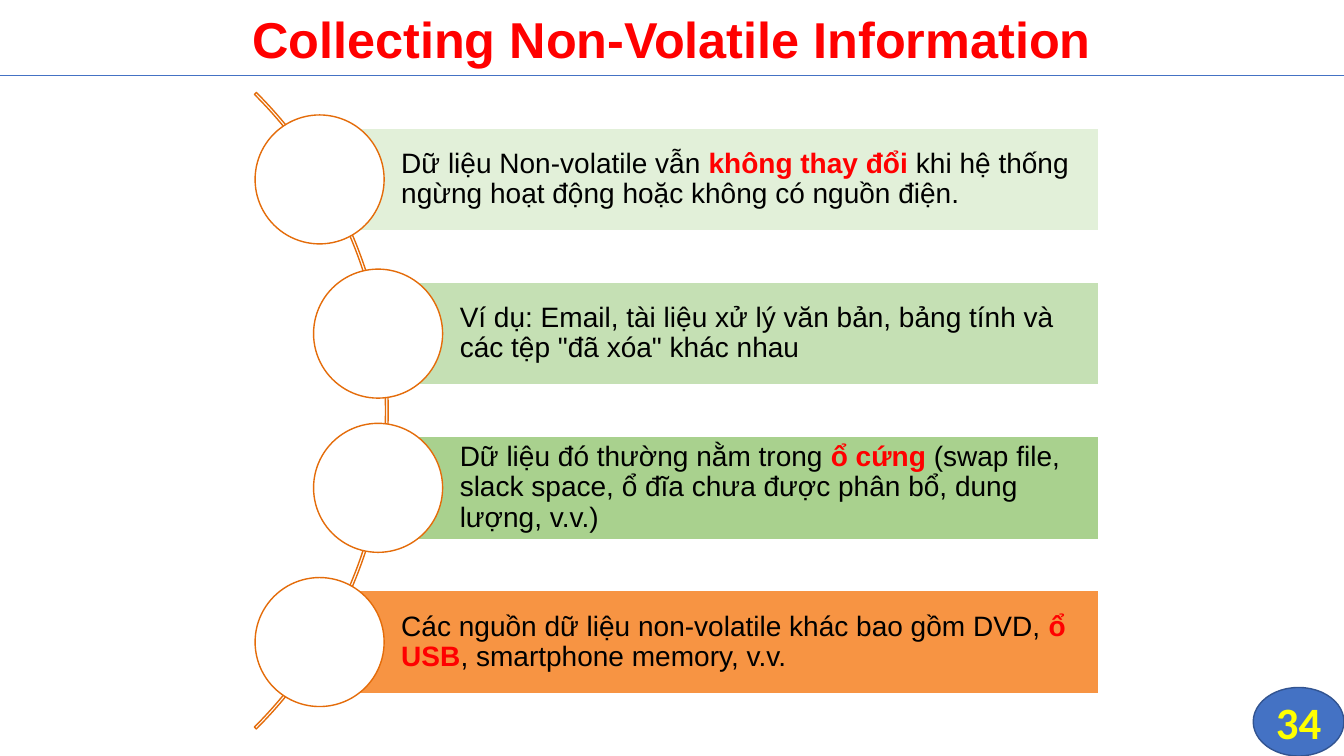
from dataclasses import dataclass

from lxml import etree
from pptx import Presentation
from pptx import util as u
from pptx.dml.color import RGBColor
from pptx.enum import shapes, text
from pptx.oxml.ns import qn


@dataclass(frozen=True)
class Theme:
    """Colours, fonts and type sizes of the slide."""
    red: str = "FF0000"
    black: str = "000000"
    white: str = "FFFFFF"
    yellow: str = "FFFF00"
    blue: str = "4472C4"
    navy: str = "325491"
    orange: str = "E46C0A"
    bars: tuple = ("E2F0D9", "C5E0B4", "A9D18E", "F79443")
    body_font: str = "Arial"
    number_font: str = "Calibri"
    title_size: int = 36
    number_size: int = 32
    body_size: int = 20


class SlideBuilder:
    """Draws styled elements on one slide."""

    def __init__(self, slide, theme):
        self.slide = slide
        self.theme = theme

    def shape(self, kind, box, fill, line):
        """Add a preset shape with a one-point outline."""
        shape = self.slide.shapes.add_shape(kind, *map(u.Inches, box))
        shape.shadow.inherit = False
        if fill:
            shape.fill.solid()
            shape.fill.fore_color.rgb = RGBColor.from_string(fill)
        else:
            shape.fill.background()
        shape.line.color.rgb = RGBColor.from_string(line)
        shape.line.width = u.Pt(1)
        return shape

    def rule(self, y, width):
        """Add a thin horizontal line from the left edge."""
        line = self.slide.shapes.add_connector(
            shapes.MSO_CONNECTOR.STRAIGHT, 0, u.Inches(y), u.Inches(width), u.Inches(y))
        line.line.color.rgb = RGBColor.from_string(self.theme.blue)
        line.line.width = u.Pt(0.5)
        etree.SubElement(line._element.spPr, qn("a:effectLst"))

    def set_text(self, shape, runs, size, font, align, spacing=1.0, insets=None, wrap=True):
        """Fill a shape with one paragraph of (words, colour, bold) runs."""
        frame = shape.text_frame
        settings = {"word_wrap": wrap, "vertical_anchor": text.MSO_ANCHOR.MIDDLE}
        if insets:
            sides = ("margin_left", "margin_top", "margin_right", "margin_bottom")
            settings.update(zip(sides, map(u.Inches, insets)))
        for name, value in settings.items():
            setattr(frame, name, value)
        paragraph = frame.paragraphs[0]
        paragraph.alignment = align
        paragraph.line_spacing = spacing
        for words, colour, bold in runs:
            run = paragraph.add_run()
            run.text = words
            for name, value in {"name": font, "size": u.Pt(size), "bold": bold}.items():
                setattr(run.font, name, value)
            run.font.color.rgb = RGBColor.from_string(colour)

    def title(self, words, box):
        """Add the centred slide title."""
        theme = self.theme
        shape = self.slide.shapes.add_textbox(*map(u.Inches, box))
        self.set_text(shape, [(words, theme.red, True)], theme.title_size,
                      theme.body_font, text.PP_ALIGN.CENTER, 1.07)

    def page_number(self, number, box):
        """Add the page number in its oval badge."""
        theme = self.theme
        badge = self.shape(shapes.MSO_SHAPE.FLOWCHART_CONNECTOR, box, theme.blue, theme.navy)
        self.set_text(badge, [(number, theme.yellow, True)], theme.number_size,
                      theme.number_font, text.PP_ALIGN.CENTER, insets=(0, 0, 0, 0), wrap=False)

    def arc(self, box):
        """Add the thin arc that joins the circles."""
        arc = self.shape(shapes.MSO_SHAPE.BLOCK_ARC, box, None, self.theme.orange)
        for index, value in enumerate((189, 27, 0.003)):
            arc.adjustments[index] = value

    def item(self, centre_x, centre_y, right, fill, parts):
        """Add a bar of text with a circle over its left end."""
        theme = self.theme
        height, diameter = 1.02, 1.28
        bar = self.shape(shapes.MSO_SHAPE.RECTANGLE,
                         (centre_x, centre_y - height / 2, right - centre_x, height),
                         fill, theme.white)
        runs = [(words, theme.red if strong else theme.black, strong)
                for words, strong in parts]
        self.set_text(bar, runs, theme.body_size, theme.body_font, text.PP_ALIGN.LEFT,
                      0.9, (0.81, 0.06, 0.06, 0.06))
        self.shape(shapes.MSO_SHAPE.OVAL,
                   (centre_x - diameter / 2, centre_y - diameter / 2, diameter, diameter),
                   theme.white, theme.orange)


ITEMS = (
    (3.17, (("Dữ liệu Non-volatile vẫn ", False), ("không thay đổi ", True),
            ("khi hệ thống ngừng hoạt động hoặc không có nguồn điện.", False))),
    (3.75, (("Ví dụ: Email, tài liệu xử lý văn bản, bảng tính và các tệp "
             '"đã xóa" khác nhau', False),)),
    (3.75, (("Dữ liệu đó thường nằm trong ", False), ("ổ cứng", True),
            (" (swap file, slack space, ổ đĩa chưa được phân bổ, dung lượng, v.v.)", False))),
    (3.17, (("Các nguồn dữ liệu non-volatile khác bao gồm DVD,", False), (" ổ USB", True),
            (", smartphone memory, v.v.", False))),
)


def main():
    """Build and save the slide."""
    width, first_y, step, bar_right = 13.33, 1.78, 1.53, 10.9
    presentation = Presentation()
    presentation.slide_width = u.Inches(width)
    presentation.slide_height = u.Inches(7.5)
    slide = presentation.slides.add_slide(presentation.slide_layouts[6])
    theme = Theme()
    builder = SlideBuilder(slide, theme)
    builder.rule(0.75, width)
    builder.title("Collecting Non-Volatile Information", (0, -0.03, width, 0.78))
    builder.page_number("34", (12.43, 6.82, 0.9, 0.68))
    builder.arc((-5.08, -0.39, 8.93, 8.93))
    for index, (fill, (centre_x, parts)) in enumerate(zip(theme.bars, ITEMS)):
        builder.item(centre_x, first_y + index * step, bar_right, fill, parts)
    presentation.save("out.pptx")


if __name__ == "__main__":
    main()
